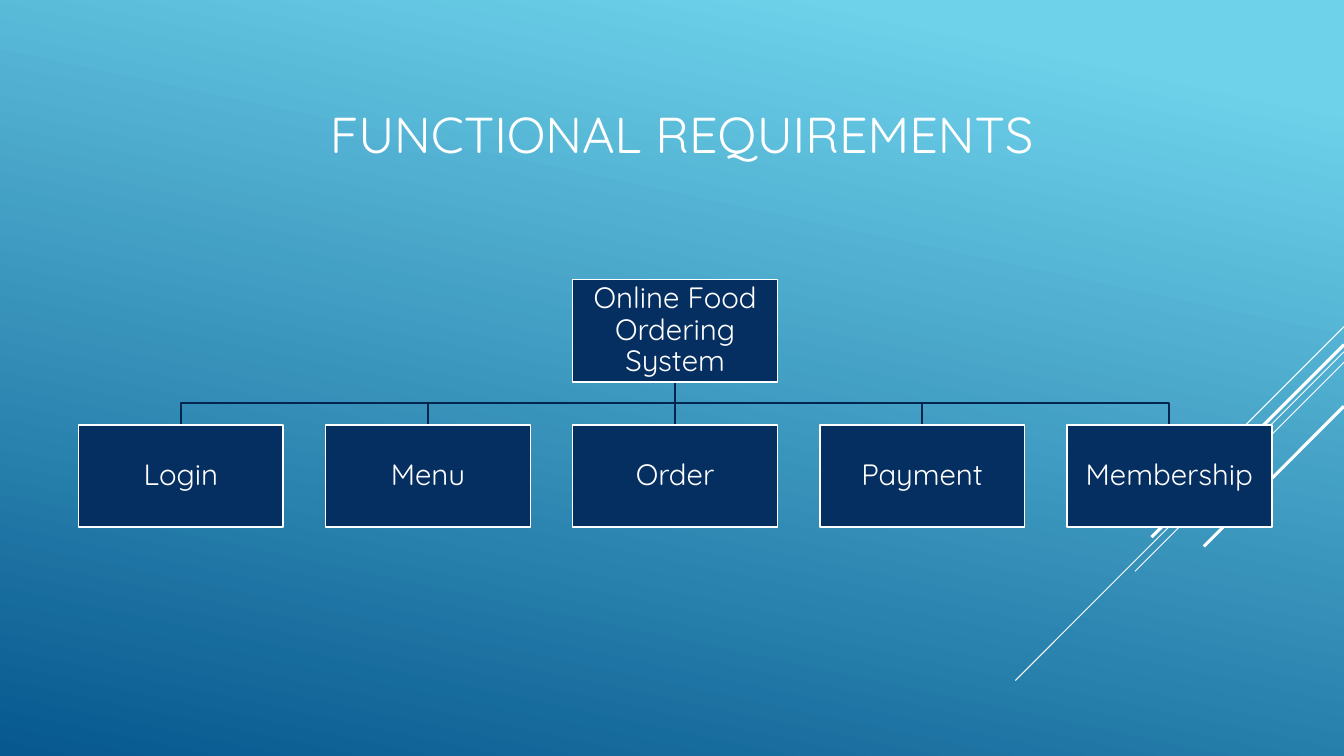
from dataclasses import dataclass

from lxml import etree
from pptx import Presentation
from pptx import util as u
from pptx.dml.color import RGBColor
from pptx.enum import shapes, text
from pptx.oxml.ns import qn

COLOURS = {
    "sky": "6ED2EB",
    "deep": "06588E",
    "box": "052F61",
    "branch": "04264E",
    "white": "FFFFFF",
}
FONT = "Quicksand"
SLIDE_W, SLIDE_H = 960, 540

# Organisation chart geometry, in points
BOX_W, BOX_H = 146.4, 73
FIRST_LEFT, PITCH = 56, 176.5
ROOT_TOP, CHILD_TOP = 199.7, 303.3
BRANCH_W = 1.25
MODULES = ["Login", "Menu", "Order", "Payment", "Membership"]


@dataclass
class Box:
    label: str
    left: float
    top: float

    @property
    def centre(self) -> float:
        return self.left + BOX_W / 2


@dataclass
class Streak:
    """A 45-degree line running down and left from the right slide edge."""
    top: float
    run: float
    width: float


STREAKS = [
    Streak(233.3, 72, 0.75),
    Streak(251.3, 234.7, 0.75),
    Streak(258.8, 149.3, 0.75),
    Streak(246.2, 137.5, 2.25),
    Streak(290.2, 100.1, 2.25),
]


def colour(name: str) -> RGBColor:
    return RGBColor.from_string(COLOURS[name])


def write(shape, words: str, *, size: float, align, margins=(7.2, 3.6), spacing: float = 1.0) -> None:
    frame = shape.text_frame
    frame.text = words
    frame.word_wrap = True
    frame.auto_size = text.MSO_AUTO_SIZE.NONE
    frame.vertical_anchor = text.MSO_ANCHOR.MIDDLE
    frame.margin_left = frame.margin_right = u.Pt(margins[0])
    frame.margin_top = frame.margin_bottom = u.Pt(margins[1])
    paragraph = frame.paragraphs[0]
    paragraph.alignment = align
    paragraph.line_spacing = spacing
    font = paragraph.runs[0].font
    font.name, font.size = FONT, u.Pt(size)
    font.color.rgb = colour("white")


def draw_line(slide, start, end, ink: str, width: float) -> None:
    line = slide.shapes.add_connector(
        shapes.MSO_CONNECTOR.STRAIGHT, *(u.Pt(value) for value in (*start, *end)))
    line.line.color.rgb = colour(ink)
    line.line.width = u.Pt(width)
    etree.SubElement(line._element.spPr, qn("a:effectLst"))


def draw_branch(slide, root: Box, child: Box) -> None:
    start, end = (root.centre, root.top + BOX_H), (child.centre, child.top)
    if abs(start[0] - end[0]) < 1:
        draw_line(slide, start, end, "branch", BRANCH_W)
        return
    middle = (start[1] + end[1]) / 2
    corners = [(start[0], middle), (end[0], middle), end]
    builder = slide.shapes.build_freeform(u.Pt(start[0]), u.Pt(start[1]))
    builder.add_line_segments([(u.Pt(x), u.Pt(y)) for x, y in corners], close=False)
    branch = builder.convert_to_shape()
    branch.shadow.inherit = False
    branch.fill.background()
    branch.line.color.rgb = colour("branch")
    branch.line.width = u.Pt(BRANCH_W)


def draw_box(slide, box: Box) -> None:
    shape = slide.shapes.add_shape(
        shapes.MSO_SHAPE.RECTANGLE,
        u.Pt(box.left), u.Pt(box.top), u.Pt(BOX_W), u.Pt(BOX_H))
    shape.shadow.inherit = False
    shape.fill.solid()
    shape.fill.fore_color.rgb = colour("box")
    shape.line.color.rgb = colour("white")
    shape.line.width = u.Pt(1.25)
    write(shape, box.label, size=21, align=text.PP_ALIGN.CENTER,
          margins=(0.9, 0.9), spacing=0.9)


def main() -> None:
    deck = Presentation()
    deck.slide_width, deck.slide_height = u.Pt(SLIDE_W), u.Pt(SLIDE_H)
    slide = deck.slides.add_slide(deck.slide_layouts.get_by_name("Title Only"))

    # Background gradient
    backdrop = slide.background.fill
    backdrop.gradient()
    backdrop.gradient_angle = 258
    for stop, (position, name) in zip(backdrop.gradient_stops, [(0.1, "sky"), (1, "deep")]):
        stop.position = position
        stop.color.rgb = colour(name)

    # Diagonal streaks
    for streak in STREAKS:
        draw_line(slide, (SLIDE_W, streak.top),
                  (SLIDE_W - streak.run, streak.top + streak.run), "white", streak.width)

    # Title
    heading = slide.shapes.title
    heading.left, heading.top = u.Pt(228.4), u.Pt(60.5)
    heading.width, heading.height = u.Pt(565.2), u.Pt(69.1)
    write(heading, "FUNCTIONAL REQUIREMENTS", size=36, align=text.PP_ALIGN.LEFT)

    # Organisation chart: branches behind boxes
    modules = [Box(label, FIRST_LEFT + i * PITCH, CHILD_TOP) for i, label in enumerate(MODULES)]
    system = Box("Online Food Ordering System", modules[len(modules) // 2].left, ROOT_TOP)
    for module in modules:
        draw_branch(slide, system, module)
    for box in [system, *modules]:
        draw_box(slide, box)

    deck.save("out.pptx")


if __name__ == "__main__":
    main()
